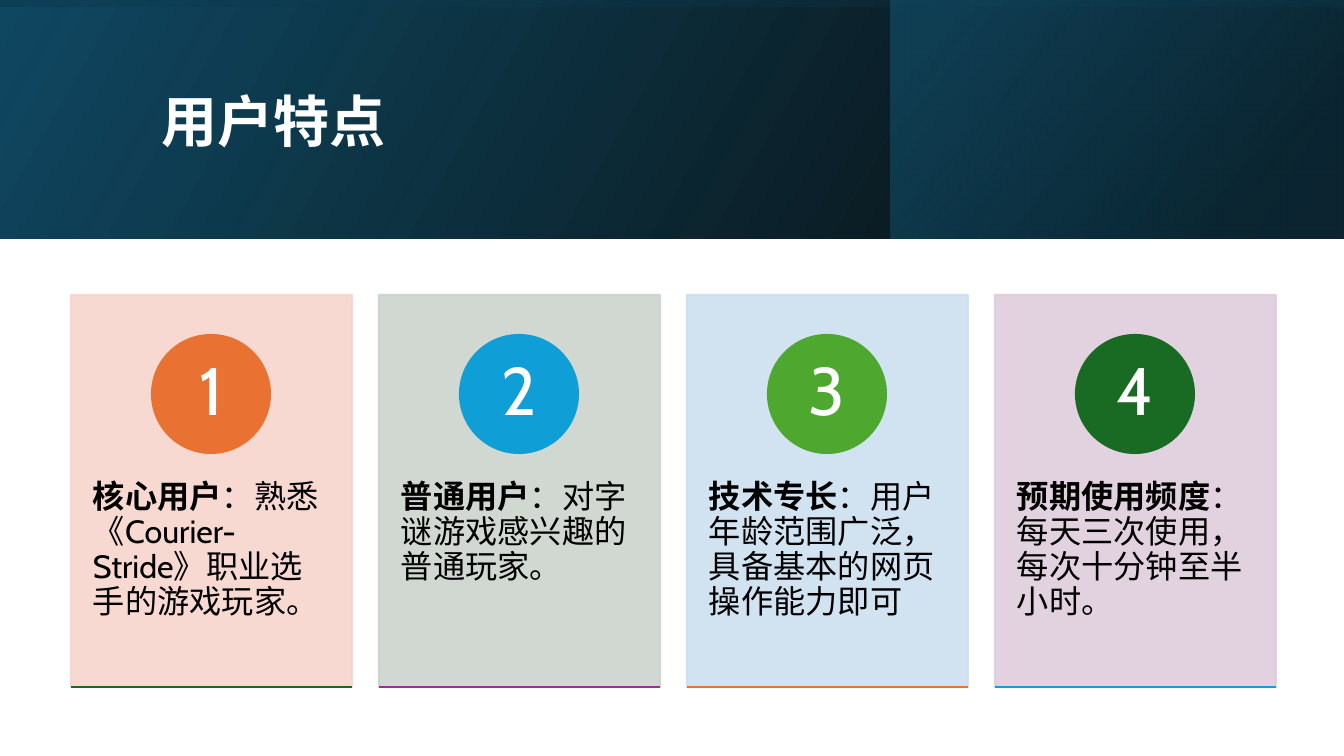
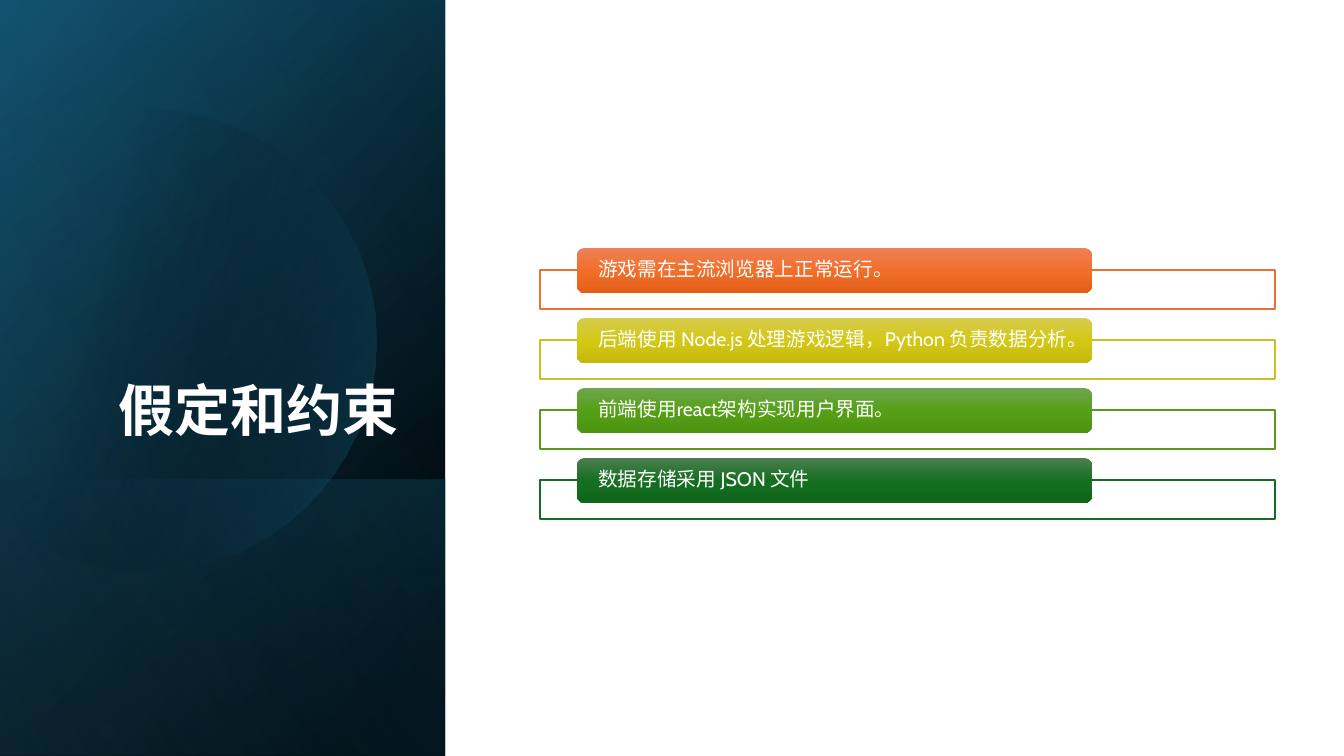
import dataclasses
import math

import lxml.etree
import pptx
import pptx.dml.color
import pptx.enum.lang
import pptx.enum.shapes
import pptx.enum.text
import pptx.oxml.ns
import pptx.util

SHAPE = pptx.enum.shapes.MSO_SHAPE
ALIGN = pptx.enum.text.PP_ALIGN
ANCHOR = pptx.enum.text.MSO_ANCHOR
qn = pptx.oxml.ns.qn
rgb = pptx.dml.color.RGBColor.from_string
PX = 914400 / 100.8


@dataclasses.dataclass(frozen=True)
class Theme:
    title_font: str = "Times New Roman"
    body_font: str = "Cabin"
    title_size: int = 40
    number_size: int = 48
    card_size: int = 23
    row_size: int = 14
    black: str = "000000"
    white: str = "FFFFFF"
    navy: str = "104862"
    teal: str = "156082"
    deep_teal: str = "0B3041"
    sky: str = "46B1E1"
    orange: str = "E97132"
    green: str = "196B24"
    blue: str = "0F9ED5"
    purple: str = "A02B93"
    lime: str = "4EA72E"


T = Theme()


def px(*lengths):
    return [pptx.util.Emu(round(length * PX)) for length in lengths]


def paint_gradient(shape, angle, stops):
    """Fill with (position %, colour, opacity %) stops; angle is clockwise from the right."""
    shape.shadow.inherit = False
    shape.line.fill.background()
    shape.fill.gradient()
    gradient = shape.element.spPr.find(qn("a:gradFill"))
    gradient.clear()
    stop_list = lxml.etree.SubElement(gradient, qn("a:gsLst"))
    for position, color, opacity in stops:
        stop = lxml.etree.SubElement(stop_list, qn("a:gs"), pos=str(position * 1000))
        tint = lxml.etree.SubElement(stop, qn("a:srgbClr"), val=color)
        lxml.etree.SubElement(tint, qn("a:alpha"), val=str(opacity * 1000))
    lxml.etree.SubElement(gradient, qn("a:lin"), ang=str(angle * 60000), scaled="0")


def write(shape, runs, font, size, color, align, anchor, insets):
    """Set one paragraph of (text, bold) runs; insets are left, top, right, bottom in px."""
    frame = shape.text_frame
    frame.word_wrap = True
    frame.auto_size = pptx.enum.text.MSO_AUTO_SIZE.NONE
    frame.vertical_anchor = anchor
    (frame.margin_left, frame.margin_top,
     frame.margin_right, frame.margin_bottom) = px(*insets)
    paragraph = frame.paragraphs[0]
    paragraph.alignment = align
    paragraph.line_spacing = 0.9
    for text, bold in runs:
        run = paragraph.add_run()
        run.text = text
        run.font.name = font
        run.font.size = pptx.util.Pt(size)
        run.font.bold = bold
        run.font.color.rgb = rgb(color)
        run.font.language_id = pptx.enum.lang.MSO_LANGUAGE_ID.SIMPLIFIED_CHINESE


prs = pptx.Presentation()
prs.slide_width, prs.slide_height = px(1344, 756)
title_only = prs.slide_layouts[5]
users = prs.slides.add_slide(title_only)
limits = prs.slides.add_slide(title_only)

# Gradient bands behind the titles
bands = [
    (users, (0, 0, 1344, 239), 210, [(0, T.black, 96), (100, T.navy, 100)]),
    (users, (891, 0, 452, 239), 220, [(19, T.deep_teal, 68), (100, T.teal, 48)]),
    (users, (0, 0, 1344, 239), 100, [(23, T.navy, 16), (99, T.black, 45)]),
    (limits, (0, 0, 445, 756), 220, [(8, T.black, 100), (100, T.navy, 100)]),
    (limits, (0, 0, 445, 756), 240, [(0, T.black, 0), (99, T.teal, 46)]),
    (limits, (0, 480, 445, 276), 140, [(2, T.teal, 29), (100, T.black, 30)]),
    (limits, (0, 0, 445, 756), 150, [(0, T.black, 0), (99, T.sky, 11)]),
]
for slide, box, angle, stops in bands:
    band = slide.shapes.add_shape(SHAPE.RECTANGLE, *px(*box))
    paint_gradient(band, angle, stops)

# Disc cut off by the left slide edge
center_x, center_y, radius = 145, 341, 231
cut = math.acos(-center_x / radius)
arc = [
    (round(center_x + radius * math.cos(turn), 2), round(center_y + radius * math.sin(turn), 2))
    for turn in (cut * (step / 60 - 1) for step in range(121))
]
outline = limits.shapes.build_freeform(*arc[0], scale=PX)
outline.add_line_segments(arc[1:], close=True)
paint_gradient(outline.convert_to_shape(), 14, [(29, T.black, 0), (100, T.teal, 43)])

# Titles, in front of the bands
titles = [
    (users, "用户特点", (152, 38, 1072, 173), ALIGN.LEFT, ANCHOR.MIDDLE),
    (limits, "假定和约束", (65, 185, 343, 264), ALIGN.RIGHT, ANCHOR.BOTTOM),
]
for slide, heading, box, align, anchor in titles:
    title = slide.shapes.title
    title.left, title.top, title.width, title.height = px(*box)
    write(title, [(heading, True)], T.title_font, T.title_size, T.white,
          align, anchor, (10, 5, 10, 5))
    title.element.getparent().append(title.element)

# Numbered user cards
CARD_LEFT, CARD_TOP, CARD_W, CARD_H, CARD_STEP = 71, 295, 281, 392, 308
BADGE, BADGE_TOP = 118, 335
cards = [
    ("核心用户", "：熟悉《Courier-Stride》职业选手的游戏玩家。", "F7D5CE", T.orange, T.green),
    ("普通用户", "：对字谜游戏感兴趣的普通玩家。", "CCD4CD", T.blue, T.purple),
    ("技术专长", "：用户年龄范围广泛，具备基本的网页操作能力即可", "CCDFEF", T.lime, T.orange),
    ("预期使用频度", "：每天三次使用，每次十分钟至半小时。", "DFCDDC", T.green, T.blue),
]
for index, (label, detail, card_color, badge_color, rule_color) in enumerate(cards):
    left = CARD_LEFT + index * CARD_STEP
    card = users.shapes.add_shape(SHAPE.RECTANGLE, *px(left, CARD_TOP, CARD_W, CARD_H))
    badge = users.shapes.add_shape(
        SHAPE.OVAL, *px(left + (CARD_W - BADGE) // 2, BADGE_TOP, BADGE, BADGE))
    for shape, color in ((card, card_color), (badge, badge_color)):
        shape.shadow.inherit = False
        shape.fill.solid()
        shape.fill.fore_color.rgb = rgb(color)
        shape.line.color.rgb = rgb(color)
        shape.line.width = pptx.util.Pt(1.5)
    for tint in card.element.spPr.iter(qn("a:srgbClr")):
        lxml.etree.SubElement(tint, qn("a:alpha"), val="90000")
    write(card, [(label, True), (detail, False)], T.body_font, T.card_size, T.black,
          ALIGN.LEFT, ANCHOR.TOP, (22, 186, 22, 36))
    write(badge, [(str(index + 1), False)], T.body_font, T.number_size, T.white,
          ALIGN.CENTER, ANCHOR.MIDDLE, (9, 1, 9, 1))

    bottom = CARD_TOP + CARD_H
    rule = users.shapes.add_connector(
        pptx.enum.shapes.MSO_CONNECTOR.STRAIGHT, *px(left, bottom, left + CARD_W, bottom))
    rule.line.color.rgb = rgb(rule_color)
    rule.line.width = pptx.util.Pt(1.5)
    lxml.etree.SubElement(rule.element.spPr, qn("a:effectLst"))

# Constraint rows: an outlined frame under a gradient pill
ROW_STEP = 70
constraints = [
    ("游戏需在主流浏览器上正常运行。", T.orange, ("ED8257", "F26E29", "E25F1A")),
    ("后端使用 Node.js 处理游戏逻辑，Python 负责数据分析。", "CBC11E",
     ("D5CB4E", "D4C815", "C4B90B")),
    ("前端使用react架构实现用户界面。", "56991D", ("6DA64E", "56A017", "4C930F")),
    ("数据存储采用 JSON 文件", T.green, ("4D7E50", "156F21", "0F661B")),
]
for index, (sentence, frame_color, shades) in enumerate(constraints):
    offset = index * ROW_STEP
    frame = limits.shapes.add_shape(SHAPE.RECTANGLE, *px(540, 270 + offset, 735, 39))
    frame.shadow.inherit = False
    frame.fill.solid()
    frame.fill.fore_color.rgb = rgb(T.white)
    frame.line.color.rgb = rgb(frame_color)
    frame.line.width = pptx.util.Pt(1)

    pill = limits.shapes.add_shape(SHAPE.ROUNDED_RECTANGLE, *px(577, 248 + offset, 515, 45))
    paint_gradient(pill, 90, [(50 * step, shade, 100) for step, shade in enumerate(shades)])
    write(pill, [(sentence, False)], T.body_font, T.row_size, T.white,
          ALIGN.LEFT, ANCHOR.MIDDLE, (19, 0, 19, 0))

prs.save("out.pptx")
